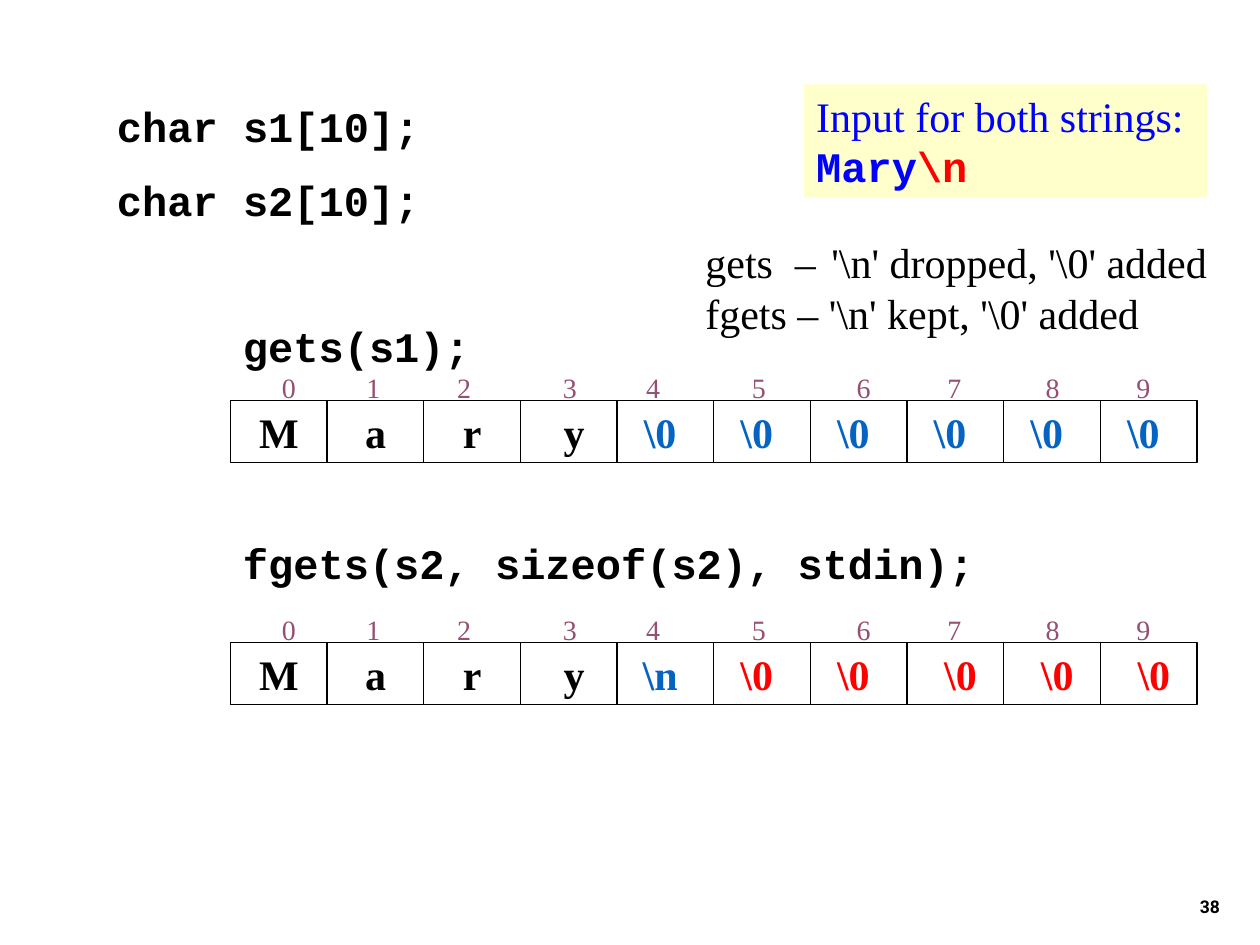
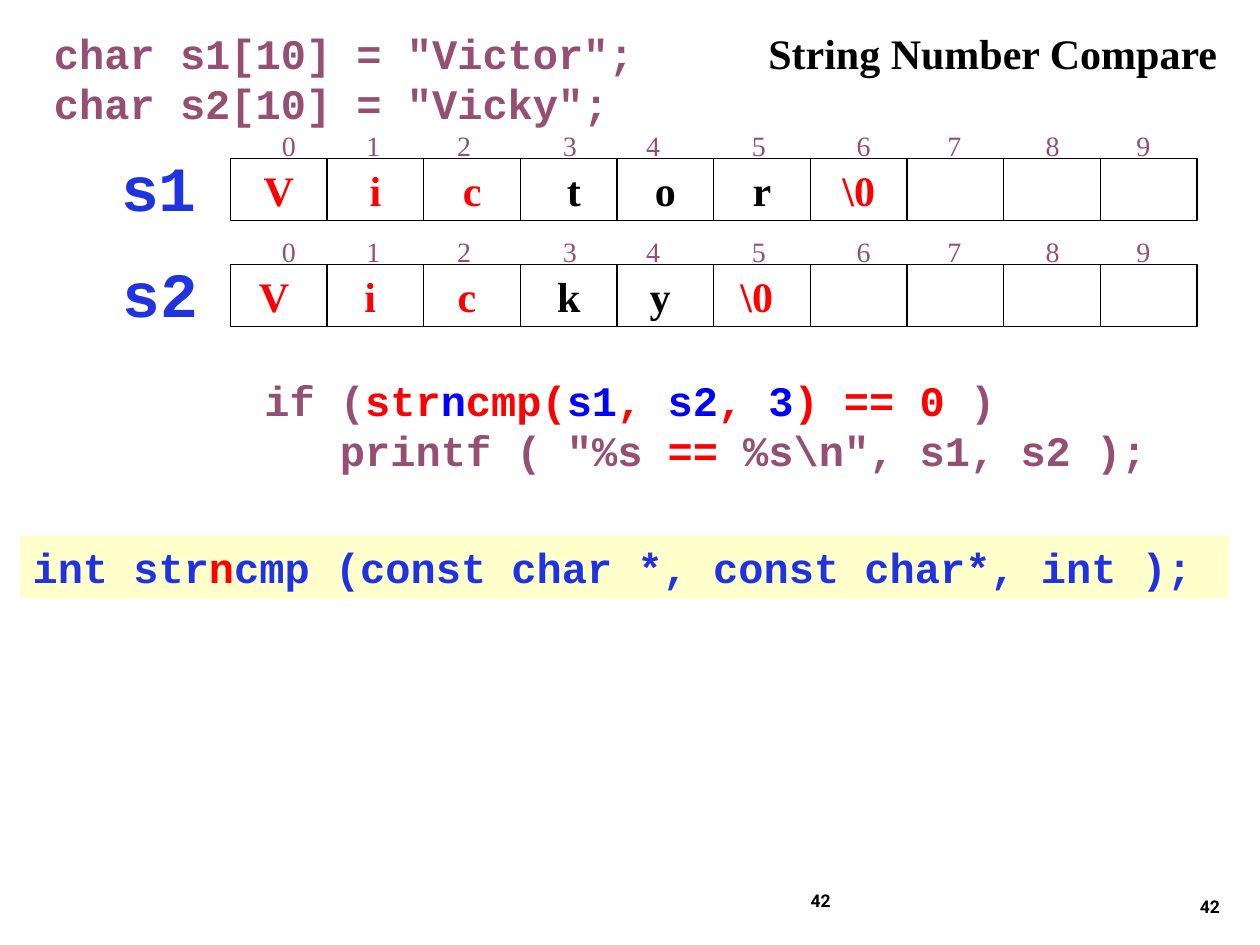
from lxml.etree import SubElement
from pptx import Presentation
from pptx.dml.color import RGBColor
from pptx.enum.shapes import MSO_SHAPE
from pptx.enum.text import MSO_ANCHOR, MSO_AUTO_SIZE, PP_ALIGN
from pptx.oxml.ns import qn
from pptx.util import Inches, Pt

COLOURS = {
    "black": "000000", "blue": "0000FF", "red": "FF0000", "plum": "954F72",
    "royal": "2133DF", "link": "0563C1", "cream": "FFFFCC",
}
CODE = {"name": "Courier New", "size": Pt(24), "bold": True}
LABEL = {**CODE, "size": Pt(36)}
PROSE = {"name": "Times New Roman", "size": Pt(24), "bold": False}
TITLE = {**PROSE, "bold": True}
INDEX = {**PROSE, "size": Pt(16)}
NUMBER = {"name": "Roboto", "size": Pt(10), "bold": True}

ROW_LEFT, ROW_WIDTH, ROW_HEIGHT, CELL_COUNT = 1.83, 7.67, 0.49, 10
INDEX_RISE = 0.35
INDEX_STOPS = [0.31, 0.98, 1.70, 2.54, 3.20, 4.04, 4.87, 5.59, 6.37, 7.09]

# Array rows: top of the cells, then the text and colour of each filled cell
MARY = [("M", "black"), ("a", "black"), ("r", "black"), (" y", "black")]
INPUT_ROWS = [
    (5.10, MARY + [("\\n ", "link")] + [("\\0 ", "red")] * 2 + [(" \\0", "red")] * 3),
    (3.18, MARY + [("\\0 ", "link")] * 6),
]
COMPARE_ROWS = [
    (1.26, [("V", "red"), ("i", "red"), ("c", "red"), (" t", "black"),
            ("o", "black"), ("r", "black"), ("\\0", "red")]),
    (2.10, [("V ", "red"), ("i ", "red"), ("c ", "red"), (" k ", "black"),
            ("y ", "black"), ("\\0 ", "red")]),
]

# Paragraphs are lists of (text, colour) spans
READ_CALLS = [
    [("char s1[10];", "black")],
    [("char s2[10];", "black")],
    [("gets(s1);", "black")],
    [("fgets(s2, sizeof(s2), stdin);", "black")],
]
READ_LAYOUT = [
    {}, {"before": 13.6}, {"before": 54.4, "indent": 1}, {"before": 95.2, "indent": 1},
]
INPUT_NOTE = [
    [("Input for both strings:", "blue")],
    [("Mary", "blue"), ("\\n", "red")],
]
GETS_NOTE = [
    [("gets\t–\t'\\n' dropped, '\\0' added", "black")],
    [("fgets – '\\n' kept, '\\0' added", "black")],
]
DECLARATIONS = [
    [('char s1[10] = "Victor";', "plum")],
    [('char s2[10] = "Vicky";', "plum")],
]
COMPARE_CALL = [
    [("if (", "plum"), ("str", "red"), ("n", "blue"), ("cmp(", "red"),
     ("s1", "blue"), (", ", "red"), ("s2", "blue"), (", ", "red"),
     ("3", "blue"), (") == 0 ", "red"), (")", "plum")],
    [('   printf ( "%s ', "plum"), ("==", "red"), (' %s\\n", s1, s2 );', "plum")],
]
PROTOTYPE = [
    [("int str", "royal"), ("n", "red"),
     ("cmp (const char *, const char*, int );", "royal")],
]
ARRAY_LABELS = [("s1", 0.86, 1.13), ("s2", 0.87, 1.97)]


def colour(name):
    return RGBColor.from_string(COLOURS[name])


def lay_out(para, before=None, indent=None, stops=()):
    """Set the space before, left indent and tab stops of a paragraph."""
    if before:
        para.space_before = Pt(before)
    properties = para._p.get_or_add_pPr()
    if indent:
        properties.set("marL", str(Inches(indent)))
    if stops:
        tabs = SubElement(properties, qn("a:tabLst"))
        for stop in stops:
            SubElement(tabs, qn("a:tab"), pos=str(Inches(stop)), algn="l")


def write(shape, paragraphs, styles, align=PP_ALIGN.LEFT, anchor=MSO_ANCHOR.TOP,
          wrap=True, layouts=()):
    """Fill a shape with text; styles and layouts go by paragraph."""
    frame = shape.text_frame
    frame.word_wrap = wrap
    frame.vertical_anchor = anchor
    for number, spans in enumerate(paragraphs):
        para = frame.add_paragraph() if number else frame.paragraphs[0]
        para.alignment = align
        if number < len(layouts):
            lay_out(para, **layouts[number])
        style = styles[min(number, len(styles) - 1)]
        for text, name in spans:
            span = para.add_run()
            span.text = text
            for key, value in style.items():
                setattr(span.font, key, value)
            span.font.color.rgb = colour(name)


def add_text(shapes, place, paragraphs, *styles, **options):
    box = shapes.add_textbox(*map(Inches, place))
    write(box, paragraphs, styles, **options)
    if not options.get("wrap", True):
        box.text_frame.auto_size = MSO_AUTO_SIZE.SHAPE_TO_FIT_TEXT


def add_rectangle(shapes, place, fill=None):
    """Add a cream-style filled panel, or an outlined cell when fill is None."""
    shape = shapes.add_shape(MSO_SHAPE.RECTANGLE, *map(Inches, place))
    shape.shadow.inherit = False
    if fill:
        shape.fill.solid()
        shape.fill.fore_color.rgb = colour(fill)
        shape.line.fill.background()
    else:
        shape.fill.background()
        shape.line.color.rgb = colour("black")
        shape.line.width = Pt(0.75)
    return shape


def add_array(page, top, cells):
    """Draw one character array with its index numbers above."""
    shapes = page.shapes.add_group_shape().shapes
    indexes = "".join(f"\t{index}" for index in range(CELL_COUNT))
    add_text(shapes, (ROW_LEFT, top - INDEX_RISE, ROW_WIDTH, ROW_HEIGHT),
             [[(indexes, "plum")]], INDEX, anchor=MSO_ANCHOR.MIDDLE,
             layouts=[{"stops": INDEX_STOPS}])
    width = ROW_WIDTH / CELL_COUNT
    for index in range(CELL_COUNT):
        cell = add_rectangle(shapes, (ROW_LEFT + index * width, top, width, ROW_HEIGHT))
        if index < len(cells):
            write(cell, [[cells[index]]], [TITLE], align=PP_ALIGN.CENTER,
                  anchor=MSO_ANCHOR.MIDDLE, wrap=False)


def add_number(page, number, place=(7.7, 6.83, 2.08, 0.5), anchor=MSO_ANCHOR.BOTTOM):
    add_text(page.shapes, place, [[(number, "black")]], NUMBER,
             align=PP_ALIGN.RIGHT, anchor=anchor)


def add_page(deck, number):
    page = deck.slides.add_slide(deck.slide_layouts[6])
    add_number(page, number)
    return page


def build_input_page(deck):
    page = add_page(deck, "38")
    add_text(page.shapes, (0.83, 0.75, 7.92, 4.99), READ_CALLS, CODE, layouts=READ_LAYOUT)
    panel = add_rectangle(page.shapes, (6.38, 0.67, 3.2, 0.9), "cream")
    write(panel, INPUT_NOTE, [PROSE, CODE])
    add_text(page.shapes, (5.5, 1.83, 4.18, 0.9), GETS_NOTE, PROSE, wrap=False,
             layouts=[{"stops": [0.71, 1]}])
    for top, cells in INPUT_ROWS:
        add_array(page, top, cells)


def build_compare_page(deck):
    page = add_page(deck, "42")
    add_number(page, "42", (3.31, 6.95, 3.38, 0.4), MSO_ANCHOR.MIDDLE)
    add_text(page.shapes, (0.33, 0.17, 7.42, 1.3), DECLARATIONS, CODE)
    add_text(page.shapes, (6, 0.17, 3.78, 0.5),
             [[("String Number Compare", "black")]], TITLE, wrap=False)
    for top, cells in COMPARE_ROWS:
        add_array(page, top, cells)
    for name, left, top in ARRAY_LABELS:
        add_text(page.shapes, (left, top, 0.8, 0.7), [[(name, "royal")]], LABEL,
                 align=PP_ALIGN.RIGHT, wrap=False)
    add_text(page.shapes, (2, 2.92, 7.5, 0.9), COMPARE_CALL, CODE)
    panel = add_rectangle(page.shapes, (0.16, 4.25, 9.59, 0.5), "cream")
    write(panel, PROTOTYPE, [CODE])


def main():
    deck = Presentation()
    deck.slide_width, deck.slide_height = Inches(10), Inches(7.5)
    build_input_page(deck)
    build_compare_page(deck)
    deck.save("out.pptx")


if __name__ == "__main__":
    main()
